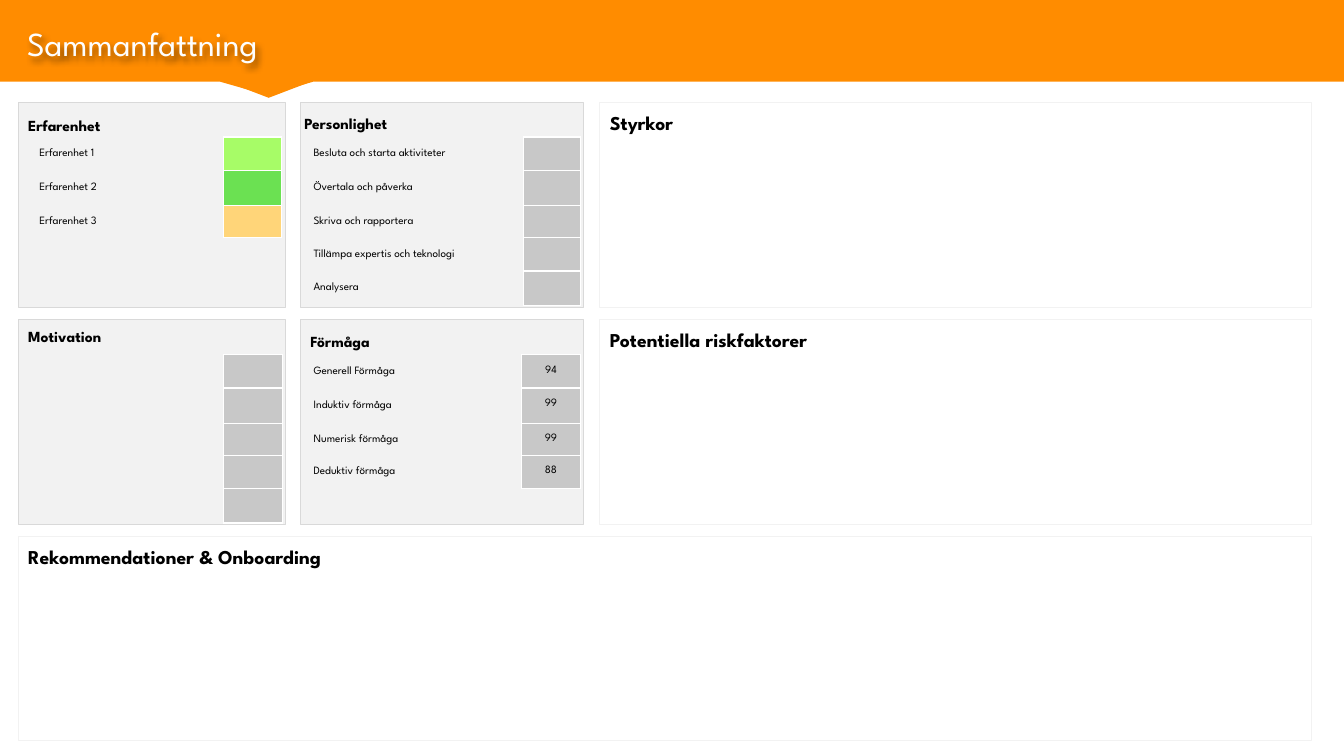
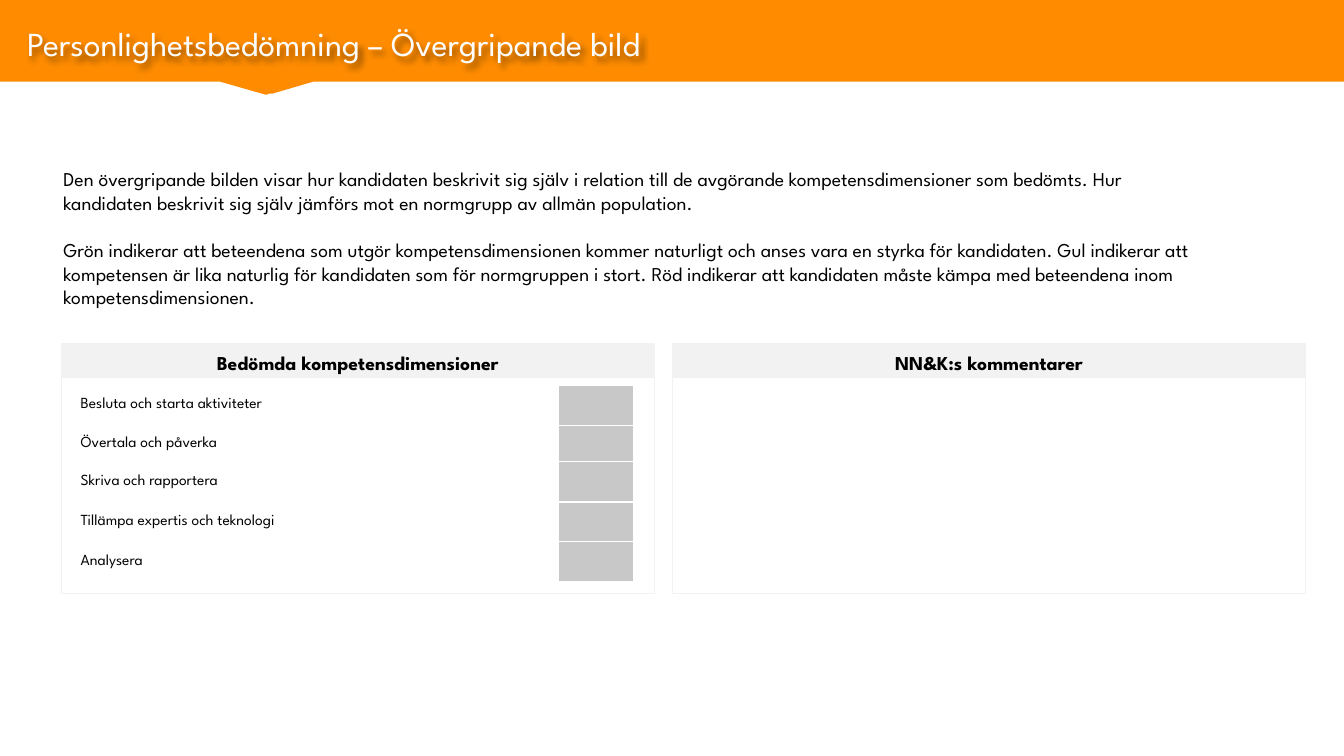
from lxml.etree import SubElement
from pptx import Presentation
from pptx.dml.color import RGBColor
from pptx.enum.shapes import MSO_SHAPE
from pptx.enum.text import MSO_ANCHOR, PP_ALIGN
from pptx.oxml.ns import qn
from pptx.util import Inches, Pt

FONT = "League Spartan"
ORANGE = RGBColor(0xFF, 0x8C, 0x00)
BLACK = RGBColor(0x00, 0x00, 0x00)
TITLE_WHITE = RGBColor(0xFE, 0xFE, 0xFE)
WHITE = RGBColor(0xFF, 0xFF, 0xFF)
PANEL_GRAY = RGBColor(0xF2, 0xF2, 0xF2)
PANEL_LINE = RGBColor(0xD9, 0xD9, 0xD9)
RATING_GRAY = RGBColor(0xC8, 0xC8, 0xC8)
LIGHT_GREEN = RGBColor(0xA7, 0xFC, 0x67)
GREEN = RGBColor(0x6B, 0xE1, 0x52)
YELLOW = RGBColor(0xFF, 0xD5, 0x79)

PLAIN_TABLE_STYLE = "{2D5ABB26-0587-4C30-8999-92F81FD0307C}"
HEADING = {"bold": True, "line_spacing": 1.14, "space_after": 2}
RIBBON = [(0, 0), (0, 0.81), (2.18, 0.81), (2.6, 0.93), (2.64, 0.94),
          (2.67, 0.93), (2.7, 0.93), (3.11, 0.81), (13.33, 0.81)]
PANEL_HEIGHT = 2.03
PANEL_TOPS = [1.02 + 2.15 * row for row in range(3)]
COMPETENCIES = ["Besluta och starta aktiviteter", "Övertala och påverka",
                "Skriva och rapportera", "Tillämpa expertis och teknologi", "Analysera"]
SUMMARY_ROWS = [0.33, 0.35, 0.32, 0.33, 0.34]


def write_text(frame, text, size=14, color=BLACK, bold=False, align=PP_ALIGN.LEFT,
               anchor=MSO_ANCHOR.TOP, line_spacing=None, space_after=0, gap=0):
    frame.word_wrap = True
    frame.vertical_anchor = anchor
    for index, line in enumerate(text.split("\n")):
        paragraph = frame.add_paragraph() if index else frame.paragraphs[0]
        paragraph.alignment = align
        paragraph.space_after = Pt(space_after)
        if index:
            paragraph.space_before = Pt(gap)
        if line_spacing:
            paragraph.line_spacing = line_spacing
        if not line:
            paragraph._p.get_or_add_endParaRPr().set("sz", str(size * 100))
            continue
        run = paragraph.add_run()
        run.text = line
        run.font.name = FONT
        run.font.size = Pt(size)
        run.font.bold = bold
        run.font.color.rgb = color


def border_cell(cell):
    properties = cell._tc.get_or_add_tcPr()
    for position, side in enumerate(("a:lnL", "a:lnR", "a:lnT", "a:lnB")):
        line = SubElement(properties, qn(side), w=str(Pt(1)))
        SubElement(SubElement(line, qn("a:solidFill")), qn("a:srgbClr"), val=str(WHITE))
        properties.insert(position, line)


class Deck:
    def __init__(self):
        self.presentation = Presentation()
        self.presentation.slide_width = Inches(13.33)
        self.presentation.slide_height = Inches(7.5)
        self.slide = None

    def new_slide(self, title):
        layout = self.presentation.slide_layouts[6]
        self.slide = self.presentation.slides.add_slide(layout)
        builder = self.slide.shapes.build_freeform(Inches(13.33), 0)
        builder.add_line_segments([(Inches(x), Inches(y)) for x, y in RIBBON])
        self.paint(builder.convert_to_shape(), ORANGE)
        box = self.text(title, 0.17, 0.08, 11.56, 0.6, size=24, color=TITLE_WHITE,
                        anchor=MSO_ANCHOR.BOTTOM)
        effects = SubElement(box._element.spPr, qn("a:effectLst"))
        shadow = SubElement(effects, qn("a:outerShdw"), blurRad=str(Pt(4)),
                            dist=str(Pt(3)), dir="2700000", algn="tl")
        color = SubElement(shadow, qn("a:srgbClr"), val=str(BLACK))
        SubElement(color, qn("a:alpha"), val="43000")

    def paint(self, shape, fill=None, line=None):
        shape.shadow.inherit = False
        if fill is None:
            shape.fill.background()
        else:
            shape.fill.solid()
            shape.fill.fore_color.rgb = fill
        if line is None:
            shape.line.fill.background()
        else:
            shape.line.color.rgb = line
            shape.line.width = Pt(0.75)

    def shape(self, left, top, width, height, fill=None, line=None, kind=MSO_SHAPE.RECTANGLE):
        shape = self.slide.shapes.add_shape(
            kind, Inches(left), Inches(top), Inches(width), Inches(height))
        self.paint(shape, fill, line)
        return shape

    def panel(self, left, top, width, height, text="", fill=None, line=PANEL_GRAY, **style):
        shape = self.shape(left, top, width, height, fill, line)
        if text:
            write_text(shape.text_frame, text, **HEADING, **style)

    def text(self, text, left, top, width, height, **style):
        box = self.slide.shapes.add_textbox(
            Inches(left), Inches(top), Inches(width), Inches(height))
        write_text(box.text_frame, text, **style)
        return box

    def ratings(self, left, top, widths, heights, labels, size=8, fills=None, scores=None):
        count = len(heights)
        fills = fills or [RATING_GRAY] * count
        scores = scores or [""] * count
        frame = self.slide.shapes.add_table(
            count, 2, Inches(left), Inches(top), Inches(sum(widths)), Inches(sum(heights)))
        table = frame.table
        table.first_row = table.horz_banding = False
        table._tbl.tblPr.find(qn("a:tableStyleId")).text = PLAIN_TABLE_STYLE
        for column, width in zip(table.columns, widths):
            column.width = Inches(width)
        for index, height in enumerate(heights):
            table.rows[index].height = Inches(height)
            label, rating = table.cell(index, 0), table.cell(index, 1)
            for cell in (label, rating):
                cell.margin_left = cell.margin_right = Inches(0.12)
                cell.margin_top = cell.margin_bottom = 0
            label.fill.background()
            rating.fill.solid()
            rating.fill.fore_color.rgb = fills[index]
            border_cell(rating)
            write_text(label.text_frame, labels[index], size=size)
            label.vertical_anchor = MSO_ANCHOR.MIDDLE
            write_text(rating.text_frame, scores[index], size=size, align=PP_ALIGN.CENTER,
                       line_spacing=2 if scores[index] else None)


def build_summary(deck):
    deck.new_slide("Sammanfattning")
    deck.shape(2.22, 0.8, 0.89, 0.17, ORANGE, kind=MSO_SHAPE.ISOSCELES_TRIANGLE).rotation = 180
    for top, heading in zip(PANEL_TOPS, ("Styrkor", "Potentiella riskfaktorer")):
        for left, width in ((0.18, 2.65), (2.98, 2.81)):
            deck.panel(left, top, width, PANEL_HEIGHT, fill=PANEL_GRAY, line=PANEL_LINE)
        deck.panel(5.95, top, 7.06, PANEL_HEIGHT, heading)
    deck.panel(0.18, PANEL_TOPS[2], 12.83, PANEL_HEIGHT, "Rekommendationer & Onboarding")

    for heading, left, top in (("Erfarenhet", 0.18, 1.08), ("Personlighet", 2.92, 1.06),
                               ("Motivation", 0.18, 3.17), ("Förmåga", 2.98, 3.22)):
        deck.text(heading, left, top, 2.2, 0.4, size=11, **HEADING)

    deck.ratings(0.27, 1.36, (1.95, 0.57), SUMMARY_ROWS[:3],
                 [f"Erfarenhet {number}" for number in range(1, 4)],
                 fills=[LIGHT_GREEN, GREEN, YELLOW])
    deck.ratings(2.99, 1.36, (2.2, 0.57), SUMMARY_ROWS, COMPETENCIES)
    deck.ratings(0.28, 3.52, (1.94, 0.58), SUMMARY_ROWS, [""] * 5)
    deck.ratings(2.99, 3.52, (2.18, 0.59), SUMMARY_ROWS[:4],
                 ["Generell Förmåga", "Induktiv förmåga", "Numerisk förmåga", "Deduktiv förmåga"],
                 scores=["94", "99", "99", "88"])


def build_personality(deck):
    deck.new_slide("Personlighetsbedömning – Övergripande bild")
    deck.text(
        "Den övergripande bilden visar hur kandidaten beskrivit sig själv i relation till de "
        "avgörande kompetensdimensioner som bedömts. Hur kandidaten beskrivit sig själv jämförs "
        "mot en normgrupp av allmän population.\n"
        "Grön indikerar att beteendena som utgör kompetensdimensionen kommer naturligt och anses "
        "vara en styrka för kandidaten. Gul indikerar att kompetensen är lika naturlig för "
        "kandidaten som för normgruppen i stort. Röd indikerar att kandidaten måste kämpa med "
        "beteendena inom kompetensdimensionen.",
        0.53, 1.61, 11.59, 1.51, gap=17)
    for heading, left, width in (("Bedömda kompetensdimensioner", 0.61, 5.88),
                                 ("NN&K:s kommentarer", 6.67, 6.28)):
        deck.panel(left, 3.75, width, 2.14)
        deck.panel(left, 3.41, width, 0.34, heading, fill=PANEL_GRAY,
                   align=PP_ALIGN.CENTER, anchor=MSO_ANCHOR.MIDDLE)
    deck.ratings(0.68, 3.82, (4.86, 0.74), (0.4, 0.36, 0.4, 0.39, 0.4), COMPETENCIES, size=11)


def main():
    deck = Deck()
    build_summary(deck)
    build_personality(deck)
    deck.presentation.save("out.pptx")


if __name__ == "__main__":
    main()
